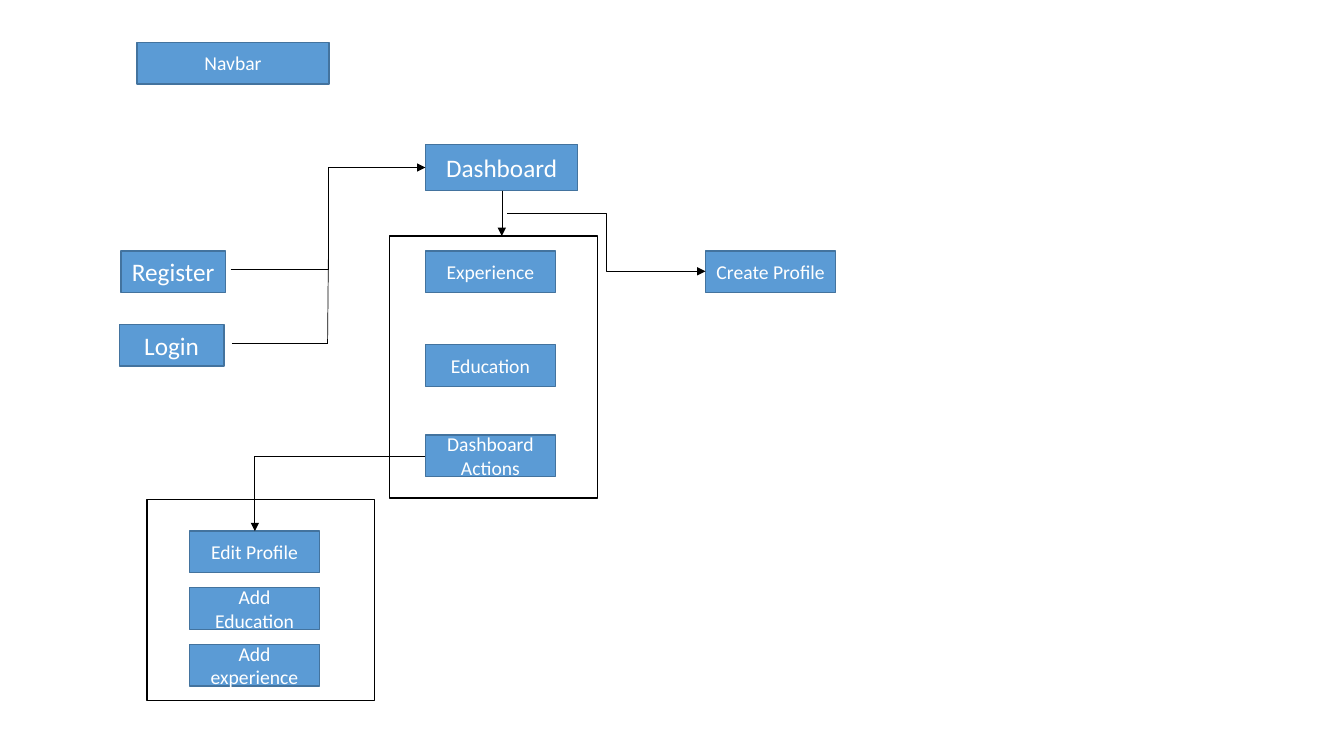
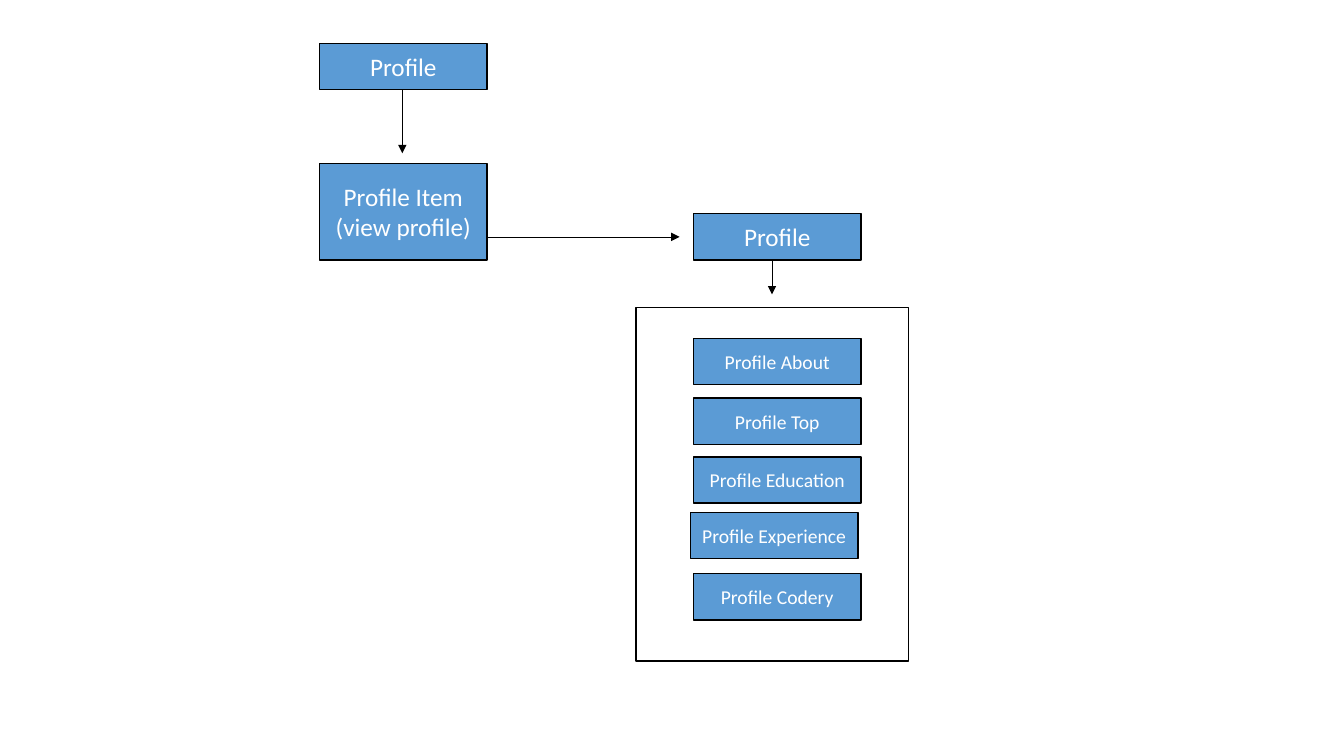
from dataclasses import dataclass

from lxml.etree import SubElement
from pptx import Presentation
from pptx.dml.color import RGBColor
from pptx.enum.shapes import MSO_CONNECTOR, MSO_SHAPE
from pptx.enum.text import MSO_ANCHOR, PP_ALIGN
from pptx.oxml.ns import qn
from pptx.slide import Slide
from pptx.util import Inches, Length, Pt

WIDTH, HEIGHT = Inches(13.33), Inches(7.5)
COLUMNS, ROWS = 160, 90
FONT = "Calibri"
BLUE = RGBColor(0x5B, 0x9B, 0xD5)
DARK_BLUE = RGBColor(0x43, 0x73, 0x9E)
BLACK = RGBColor(0, 0, 0)
WHITE = RGBColor(0xFF, 0xFF, 0xFF)
PAGE, PART = 18, 14
ROUTES = {
    "straight": (MSO_CONNECTOR.STRAIGHT, "line"),
    "step": (MSO_CONNECTOR.ELBOW, "bentConnector3"),
    "corner": (MSO_CONNECTOR.ELBOW, "bentConnector2"),
}


@dataclass(frozen=True)
class Component:
    label: str
    col: float
    row: float
    cols: float = 15.5
    rows: float = 4.95
    size: int = PART


@dataclass(frozen=True)
class Frame:
    col: float
    row: float
    cols: float
    rows: float


@dataclass(frozen=True)
class Link:
    start: tuple[float, float]
    end: tuple[float, float]
    route: str = "straight"
    arrow: bool = True


def across(cols: float) -> Length:
    return Length(round(WIDTH * cols / COLUMNS))


def down(rows: float) -> Length:
    return Length(round(HEIGHT * rows / ROWS))


def draw_rectangle(slide: Slide, area: Component | Frame, border: RGBColor):
    rectangle = slide.shapes.add_shape(
        MSO_SHAPE.RECTANGLE,
        across(area.col), down(area.row), across(area.cols), down(area.rows),
    )
    rectangle.shadow.inherit = False
    rectangle.line.color.rgb = border
    rectangle.line.width = Pt(1)
    return rectangle


def draw_component(slide: Slide, component: Component, border: RGBColor) -> None:
    rectangle = draw_rectangle(slide, component, border)
    rectangle.fill.solid()
    rectangle.fill.fore_color.rgb = BLUE
    frame = rectangle.text_frame
    frame.word_wrap = True
    frame.vertical_anchor = MSO_ANCHOR.MIDDLE
    for index, words in enumerate(component.label.split("\n")):
        paragraph = frame.add_paragraph() if index else frame.paragraphs[0]
        paragraph.alignment = PP_ALIGN.CENTER
        run = paragraph.add_run()
        run.text = words
        run.font.name = FONT
        run.font.size = Pt(component.size)
        run.font.color.rgb = WHITE


def draw_frame(slide: Slide, frame: Frame) -> None:
    draw_rectangle(slide, frame, BLACK).fill.background()


def draw_link(slide: Slide, link: Link) -> None:
    kind, preset = ROUTES[link.route]
    connector = slide.shapes.add_connector(
        kind,
        across(link.start[0]), down(link.start[1]),
        across(link.end[0]), down(link.end[1]),
    )
    connector.line.color.rgb = BLACK
    connector.line.width = Pt(0.5)
    properties = connector.element.spPr
    properties.find(qn("a:prstGeom")).set("prst", preset)
    if link.arrow:
        SubElement(properties.find(qn("a:ln")), qn("a:tailEnd"), type="triangle")
    SubElement(properties, qn("a:effectLst"))


def draw_diagram(
    slide: Slide,
    components: list[Component],
    frames: list[Frame],
    links: list[Link],
    border: RGBColor,
) -> None:
    for component in components:
        draw_component(slide, component, border)
    for frame in frames:
        draw_frame(slide, frame)
    for link in links:
        draw_link(slide, link)


DASHBOARD_COL, ACTIONS_COL = 50.64, 22.56
ACTIONS_ROW, ACTIONS_STEP = 63.24, 6.74
ACTIONS = ["Edit Profile", "Add Education", "Add experience"]
dashboard_components = [
    Component("Register", 14.4, 29.88, cols=12.45, size=PAGE),
    Component("Create Profile", 84, 29.88),
    Component("Navbar", 16.3, 5.04, cols=22.9),
    Component("Experience", DASHBOARD_COL, 29.88),
    Component("Dashboard", DASHBOARD_COL, 17.2, 18.15, 5.5, PAGE),
    Component("Login", 14.2, 38.64, cols=12.45, size=PAGE),
    Component("Education", DASHBOARD_COL, 41.04),
    Component("Dashboard Actions", DASHBOARD_COL, 51.8),
] + [
    Component(action, ACTIONS_COL, ACTIONS_ROW + ACTIONS_STEP * index)
    for index, action in enumerate(ACTIONS)
]
dashboard_frames = [Frame(46.4, 28.1, 24.75, 31.2), Frame(17.5, 59.5, 27.1, 23.9)]
dashboard_links = [
    Link((27.45, 32.04), (DASHBOARD_COL, 19.95), "step"),
    Link((27.6, 40.9), (39.1, 40.9), arrow=False),
    Link((39, 40.9), (39.1, 29.88), arrow=False),
    Link((59.75, 22.7), (59.75, 28.1)),
    Link((DASHBOARD_COL, 54.3), (30.35, ACTIONS_ROW), "corner"),
    Link((60.4, 25.45), (84, 32.3), "step"),
]

LIST_COL, VIEW_COL = 38.04, 82.56
PROFILE_COLS, PROFILE_ROWS = 19.95, 5.5
PROFILE_PARTS = [
    ("Profile About", VIEW_COL, 40.3),
    ("Profile Top", VIEW_COL, 47.4),
    ("Profile Education", VIEW_COL, 54.4),
    ("Profile Experience", 82.2, 61),
    ("Profile Codery", VIEW_COL, 68.3),
]
profile_components = [
    Component("Profile", LIST_COL, 5.16, PROFILE_COLS, PROFILE_ROWS, PAGE),
    Component("Profile Item\n(view profile)", LIST_COL, 19.45, PROFILE_COLS, 11.5, PAGE),
    Component("Profile", VIEW_COL, 25.45, PROFILE_COLS, PROFILE_ROWS, PAGE),
] + [
    Component(label, col, row, PROFILE_COLS, PROFILE_ROWS)
    for label, col, row in PROFILE_PARTS
]
profile_frames = [Frame(75.7, 36.6, 32.45, 42.1)]
profile_links = [
    Link((47.9, 10.7), (47.9, 18.25)),
    Link((57.9, 28.2), (80.9, 28.2)),
    Link((91.9, 30.95), (91.9, 35.05)),
]

presentation = Presentation()
presentation.slide_width, presentation.slide_height = WIDTH, HEIGHT
blank = presentation.slide_layouts[6]
for diagram in (
    (dashboard_components, dashboard_frames, dashboard_links, DARK_BLUE),
    (profile_components, profile_frames, profile_links, BLACK),
):
    draw_diagram(presentation.slides.add_slide(blank), *diagram)
presentation.save("out.pptx")
